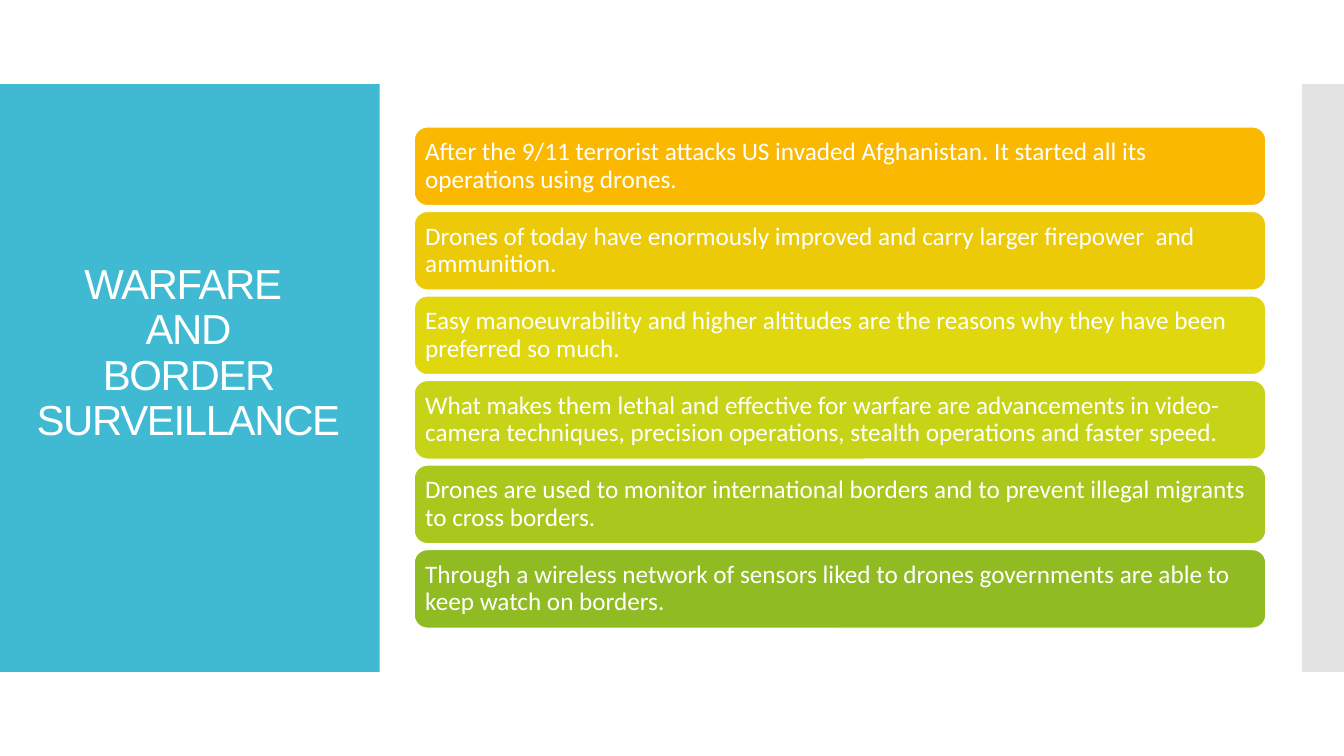
from dataclasses import dataclass

import pptx
import pptx.dml.color
import pptx.enum.shapes
import pptx.enum.text
import pptx.oxml
import pptx.oxml.ns
import pptx.presentation
import pptx.shapes.autoshape
import pptx.slide
import pptx.util

Cm = pptx.util.Cm
Pt = pptx.util.Pt
RGBColor = pptx.dml.color.RGBColor
Kind = pptx.enum.shapes.MSO_SHAPE
Align = pptx.enum.text.PP_ALIGN
Anchor = pptx.enum.text.MSO_ANCHOR
qn = pptx.oxml.ns.qn

WHITE = RGBColor(0xFF, 0xFF, 0xFF)
TEAL = RGBColor(0x40, 0xBA, 0xD2)
GREY = RGBColor(0xC8, 0xC8, 0xC8)
AMBER = RGBColor(0xFA, 0xB9, 0x00)
GOLD = RGBColor(0xED, 0xCA, 0x08)
YELLOW = RGBColor(0xE0, 0xD7, 0x0F)
LIME = RGBColor(0xC7, 0xD3, 0x16)
LEAF = RGBColor(0xA9, 0xC7, 0x1D)
GREEN = RGBColor(0x90, 0xBB, 0x23)


@dataclass
class Box:
    left: float
    top: float
    width: float
    height: float

    def place(self) -> tuple:
        return Cm(self.left), Cm(self.top), Cm(self.width), Cm(self.height)


@dataclass
class Point:
    text: str
    fill: RGBColor


POINTS = [
    Point("After the 9/11 terrorist attacks US invaded Afghanistan. "
          "It started all its operations using drones.", AMBER),
    Point("Drones of today have enormously improved and carry larger "
          "firepower  and ammunition.", GOLD),
    Point("Easy manoeuvrability and higher altitudes are the reasons why "
          "they have been preferred so much.", YELLOW),
    Point("What makes them lethal and effective for warfare are advancements "
          "in video-camera techniques, precision operations, stealth "
          "operations and faster speed.", LIME),
    Point("Drones are used to monitor international borders and to prevent "
          "illegal migrants to cross borders.", LEAF),
    Point("Through a wireless network of sensors liked to drones governments "
          "are able to keep watch on borders.", GREEN),
]
FIRST = Box(10.44, 3.2, 21.46, 1.98)
PITCH = 2.13


def add_block(slide: pptx.slide.Slide, kind: Kind, box: Box,
              fill: RGBColor) -> pptx.shapes.autoshape.Shape:
    block = slide.shapes.add_shape(kind, *box.place())
    block.shadow.inherit = False
    block.fill.solid()
    block.fill.fore_color.rgb = fill
    block.line.fill.background()
    return block


def set_text(shape: pptx.shapes.autoshape.Shape, text: str, font: str,
             size: int, align: Align) -> None:
    frame = shape.text_frame
    frame.text = text
    frame.word_wrap = True
    frame.vertical_anchor = Anchor.MIDDLE
    for para in frame.paragraphs:
        para.alignment = align
        para.line_spacing = 0.9
        for run in para.runs:
            run.font.name = font
            run.font.size = Pt(size)
            run.font.color.rgb = WHITE


def add_side(slide: pptx.slide.Slide) -> None:
    # Title panel and the half-transparent bar at the right edge
    add_block(slide, Kind.RECTANGLE, Box(0, 2.12, 9.57, 14.81), TEAL)
    bar = add_block(slide, Kind.RECTANGLE, Box(32.81, 2.12, 1.06, 14.81), GREY)
    color = next(bar.element.iter(qn("a:srgbClr")))
    alpha = pptx.oxml.parse_xml(
        f'<a:alpha {pptx.oxml.ns.nsdecls("a")} val="50000"/>')
    color.append(alpha)


def add_title(slide: pptx.slide.Slide) -> None:
    title = slide.shapes.add_textbox(*Box(0, 3.12, 9.5, 11.6).place())
    set_text(title, "WARFARE \vAND\vBORDER SURVEILLANCE", "Arial", 30,
             Align.CENTER)
    # Tighten the letters by one point
    for props in title.element.iter(qn("a:rPr")):
        props.set("spc", "-100")


def add_point(slide: pptx.slide.Slide, index: int, point: Point) -> None:
    box = Box(FIRST.left, FIRST.top + index * PITCH, FIRST.width, FIRST.height)
    card = add_block(slide, Kind.ROUNDED_RECTANGLE, box, point.fill)
    card.line.color.rgb = WHITE
    card.line.width = Pt(0.85)
    frame = card.text_frame
    frame.margin_left = frame.margin_right = Cm(0.18)
    frame.margin_top = frame.margin_bottom = Cm(0.18)
    set_text(card, point.text, "Calibri", 18, Align.LEFT)


def main() -> None:
    deck = pptx.Presentation()
    deck.slide_width, deck.slide_height = Cm(33.87), Cm(19.05)
    slide = deck.slides.add_slide(deck.slide_layouts[6])
    add_side(slide)
    add_title(slide)
    # Stack of points
    for index, point in enumerate(POINTS):
        add_point(slide, index, point)
    deck.save("out.pptx")


if __name__ == "__main__":
    main()
